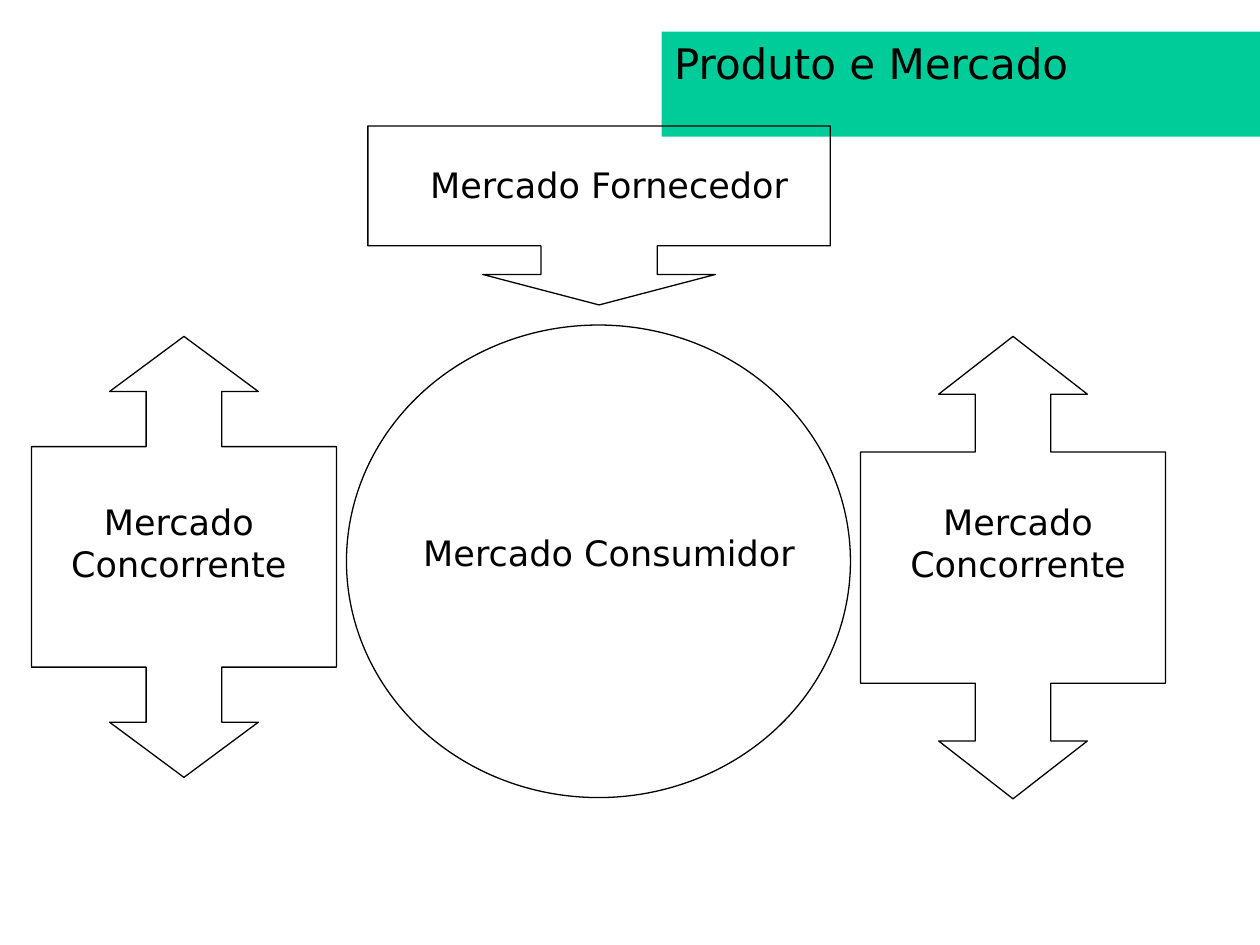
from dataclasses import dataclass

from pptx import Presentation
from pptx.dml.color import RGBColor
from pptx.enum.shapes import MSO_SHAPE
from pptx.enum.text import MSO_ANCHOR, MSO_AUTO_SIZE, PP_ALIGN
from pptx.util import Inches, Pt

OVAL = MSO_SHAPE.OVAL
CALLOUT = MSO_SHAPE.DOWN_ARROW_CALLOUT
TOP = MSO_ANCHOR.TOP
GROW = MSO_AUTO_SIZE.SHAPE_TO_FIT_TEXT
LEFT = PP_ALIGN.LEFT
CENTER = PP_ALIGN.CENTER
FONT = "DejaVu Sans"
BLACK = "000000"
GREEN = "00CC99"
FRAME = {
    "word_wrap": True,
    "auto_size": GROW,
    "vertical_anchor": TOP,
    "margin_left": Inches(0.1),
    "margin_right": Inches(0.1),
    "margin_top": Inches(0.05),
    "margin_bottom": Inches(0.05),
}


@dataclass
class Box:
    x: float
    y: float
    w: float
    h: float

    def place(self) -> tuple:
        return tuple(Inches(v) for v in (self.x, self.y, self.w, self.h))


@dataclass
class Label:
    text: str
    box: Box


LABELS = [
    Label("Mercado Consumidor", Box(3.25, 4.17, 3.17, 0.44)),
    Label("Mercado Fornecedor", Box(3.25, 1.25, 3.17, 0.44)),
    Label("Mercado Concorrente", Box(7.08, 3.92, 2, 0.77)),
    Label("Mercado Concorrente", Box(0.42, 3.92, 2, 0.77)),
]
SUPPLY = Box(2.92, 1, 3.67, 1.42)
BUYERS = Box(2.75, 2.58, 4, 3.75)
RIVALS = [Box(0.25, 2.67, 2.42, 3.5), Box(6.83, 2.67, 2.42, 3.67)]


def color(code: str) -> RGBColor:
    return RGBColor.from_string(code)


def apply(target, values: dict) -> None:
    for name, value in values.items():
        setattr(target, name, value)


def write(shape, text: str, size: int, align) -> None:
    frame = shape.text_frame
    frame.text = text
    apply(frame, FRAME)
    para = frame.paragraphs[0]
    apply(para, {"alignment": align, "space_before": Pt(0)})
    apply(para.font, {"name": FONT, "size": Pt(size), "bold": False})
    para.font.color.rgb = color(BLACK)


def outline(shape) -> None:
    shape.shadow.inherit = False
    shape.fill.background()
    shape.line.color.rgb = color(BLACK)
    shape.line.width = Pt(0.75)


def add_title(slide, text: str, box: Box) -> None:
    title = slide.shapes.title
    apply(title, dict(zip(("left", "top", "width", "height"), box.place())))
    title.fill.solid()
    title.fill.fore_color.rgb = color(GREEN)
    write(title, text, 24, LEFT)


def add_label(slide, label: Label) -> None:
    write(slide.shapes.add_textbox(*label.box.place()), label.text, 20, CENTER)


def add_rival(slide, box: Box) -> None:
    mid_x, mid_y = box.x + box.w / 2, box.y + box.h / 2
    body, neck, tip = box.h / 4, box.h * 3 / 8, box.h / 2
    half, shaft, head = box.w / 2, 0.3, 0.59
    side = [(half, body), (shaft, body), (shaft, neck), (head, neck)]
    lower = side + [(0, tip)] + [(-x, y) for x, y in reversed(side)]
    upper = [(-x, -y) for x, y in lower]
    points = [(Inches(mid_x + x), Inches(mid_y + y)) for x, y in lower + upper]
    path = slide.shapes.build_freeform(*points[0])
    path.add_line_segments(points[1:], close=True)
    outline(path.convert_to_shape())


def main() -> None:
    deck = Presentation()
    deck.slide_width, deck.slide_height = Inches(10), Inches(7.5)
    slide = deck.slides.add_slide(deck.slide_layouts[5])
    add_title(slide, "Produto e Mercado", Box(5.25, 0.25, 4.75, 0.5))
    for label in LABELS:
        add_label(slide, label)
    supply = slide.shapes.add_shape(CALLOUT, *SUPPLY.place())
    for index, value in enumerate((0.65, 0.65, 0.17, 0.67)):
        supply.adjustments[index] = value
    outline(supply)
    outline(slide.shapes.add_shape(OVAL, *BUYERS.place()))
    for box in RIVALS:
        add_rival(slide, box)
    deck.save("out.pptx")


if __name__ == "__main__":
    main()
